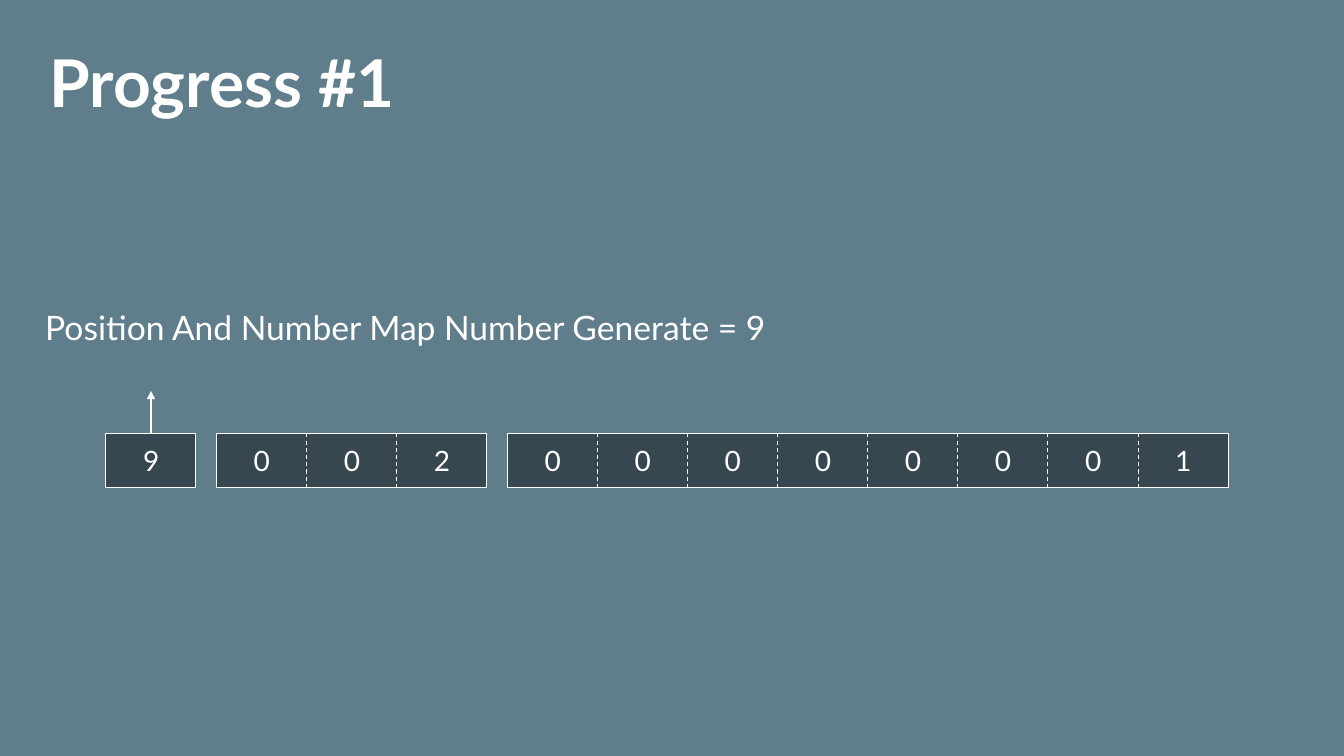
import pptx
import pptx.util
import pptx.dml.color
import pptx.enum.dml
import pptx.enum.shapes
import pptx.enum.text
import pptx.oxml.ns
import lxml.etree

Cm = pptx.util.Cm
Pt = pptx.util.Pt
ALIGN = pptx.enum.text.PP_ALIGN
ANCHOR = pptx.enum.text.MSO_ANCHOR
AUTO_SIZE = pptx.enum.text.MSO_AUTO_SIZE

SLATE = pptx.dml.color.RGBColor(0x60, 0x7D, 0x8B)
DARK_SLATE = pptx.dml.color.RGBColor(0x37, 0x47, 0x4F)
WHITE = pptx.dml.color.RGBColor(0xFF, 0xFF, 0xFF)

CELL_WIDTH = Cm(2.27)
CELL_HEIGHT = Cm(1.37)
CELLS_TOP = Cm(10.92)
# Left edge and digits of each group of cells
DIGIT_GROUPS = [(Cm(2.67), "9"), (Cm(5.46), "002"), (Cm(12.79), "00000001")]


def set_values(target, values):
    for name, value in values.items():
        setattr(target, name, value)


def write_text(frame, text, size, align, bold=False):
    para = frame.paragraphs[0]
    para.alignment = align
    span = para.add_run()
    span.text = text
    set_values(span.font, {"name": "Lato", "size": Pt(size), "bold": bold})
    span.font.color.rgb = WHITE


def add_label(page, left, top, width, height, text, size, align):
    label = page.shapes.add_textbox(left, top, width, height)
    set_values(label.text_frame, {
        "word_wrap": False, "auto_size": AUTO_SIZE.SHAPE_TO_FIT_TEXT})
    write_text(label.text_frame, text, size, align)


def add_line(page, x, start, end):
    line = page.shapes.add_connector(
        pptx.enum.shapes.MSO_CONNECTOR.STRAIGHT, x, start, x, end)
    set_values(line.line, {"width": Pt(0.75)})
    line.line.color.rgb = WHITE
    lxml.etree.SubElement(line._element.spPr, pptx.oxml.ns.qn("a:effectLst"))
    return line


def add_title(page, left, top, width, height):
    title = page.shapes.title
    set_values(title, {"left": left, "top": top, "width": width, "height": height})
    set_values(title.text_frame, {
        "margin_left": Cm(0.51), "margin_right": Cm(0.51),
        "margin_top": Cm(0.13), "margin_bottom": Cm(0.13),
        "vertical_anchor": ANCHOR.MIDDLE, "word_wrap": True,
        "auto_size": AUTO_SIZE.NONE})
    write_text(title.text_frame, "Progress #1", 47, ALIGN.LEFT, bold=True)


def add_digit_group(page, left, top, digits):
    # Frame around the whole group
    box = page.shapes.add_shape(
        pptx.enum.shapes.MSO_SHAPE.RECTANGLE,
        left, top, CELL_WIDTH * len(digits), CELL_HEIGHT)
    box.shadow.inherit = False
    box.fill.solid()
    box.fill.fore_color.rgb = DARK_SLATE
    box.line.color.rgb = WHITE
    box.line.width = Pt(0.75)

    # Dashed dividers and one digit per cell
    label_width = Cm(0.9)
    for index, digit in enumerate(digits):
        cell_left = left + CELL_WIDTH * index
        if index:
            divider = add_line(page, cell_left, top, top + CELL_HEIGHT)
            divider.line.dash_style = pptx.enum.dml.MSO_LINE.DASH
        add_label(page, cell_left + (CELL_WIDTH - label_width) // 2,
                  top + Cm(0.13), label_width, Cm(1.11), digit, 20, ALIGN.CENTER)


def add_up_arrow(page, x, bottom, length):
    arrow = add_line(page, x, bottom, bottom - length)
    stroke = arrow.line._get_or_add_ln()
    lxml.etree.SubElement(stroke, pptx.oxml.ns.qn("a:tailEnd"), type="triangle")


def build_progress_slide(deck):
    page = deck.slides.add_slide(deck.slide_layouts[5])
    page.background.fill.solid()
    page.background.fill.fore_color.rgb = SLATE

    add_title(page, Cm(0.74), Cm(0.81), Cm(32.36), Cm(2.49))
    add_label(page, Cm(0.89), Cm(7.62), Cm(19.1), Cm(1.27),
              "Position And Number Map Number Generate = 9", 24, ALIGN.LEFT)
    for left, digits in DIGIT_GROUPS:
        add_digit_group(page, left, CELLS_TOP, digits)

    # Arrow from the first cell to the statement
    first_left = DIGIT_GROUPS[0][0]
    add_up_arrow(page, first_left + CELL_WIDTH // 2, CELLS_TOP, Cm(1.07))


def main():
    deck = pptx.Presentation()
    set_values(deck, {"slide_width": Cm(33.87), "slide_height": Cm(19.05)})
    build_progress_slide(deck)
    deck.save("out.pptx")


if __name__ == "__main__":
    main()
